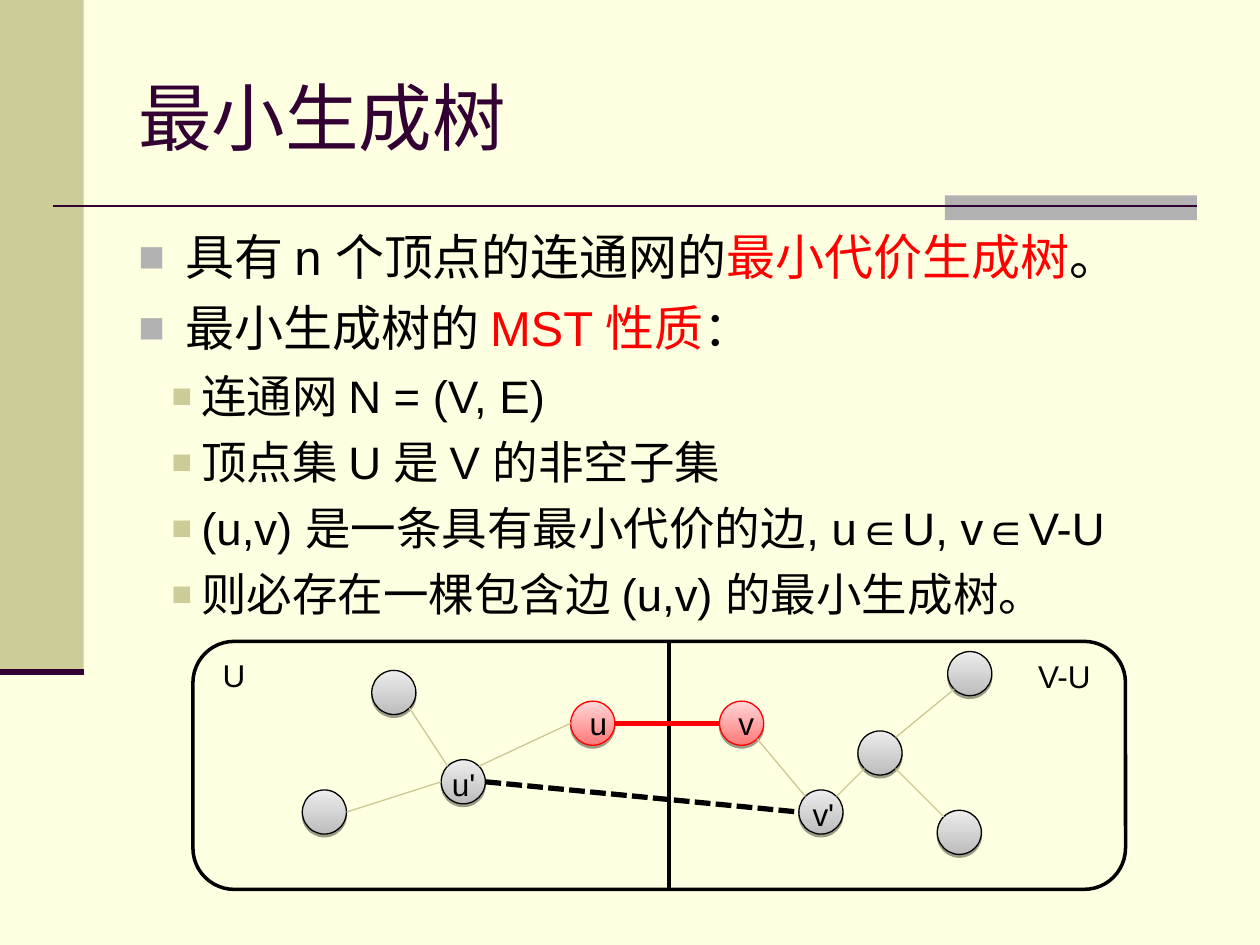
from math import cos, radians, sin

from lxml.etree import SubElement
from pptx import Presentation
from pptx.dml.color import RGBColor
from pptx.enum.dml import MSO_LINE
from pptx.enum.shapes import MSO_CONNECTOR, MSO_SHAPE
from pptx.enum.text import MSO_ANCHOR, MSO_AUTO_SIZE, PP_ALIGN
from pptx.oxml.ns import qn
from pptx.util import Cm, Pt

FONT = "Arial"
COLORS = {
    "cream": "FFFFE1", "olive": "CCCC99", "edge": "C9C994", "gray": "B2B2B2",
    "plum": "330033", "black": "000000", "red": "FF0000",
    "gray dark": "BCBCBC", "gray light": "EDEDED",
    "red dark": "FF7878", "red light": "FFD7D7",
}

TITLE = "最小生成树"
# Each paragraph: level, then runs of (text, colour)
BODY = [
    (0, [("具有 n 个顶点的连通网的", "black"), ("最小代价生成树", "red"), ("。", "black")]),
    (0, [("最小生成树的 ", "black"), ("MST 性质", "red"), ("：", "black")]),
    (1, [("连通网 N = (V, E)", "black")]),
    (1, [("顶点集 U 是 V 的非空子集", "black")]),
    (1, [("(u,v) 是一条具有最小代价的边, u∈U, v∈V-U", "black")]),
    (1, [("则必存在一棵包含边 (u,v) 的最小生成树。", "black")]),
]
# Per level: size, space before, left margin, first-line indent, bullet colour and percent
LEVELS = [
    (28, 7, 0.95, -0.95, "gray", 90),
    (26, 6.5, 1.27, -0.6, "olive", 75),
]

NODE_SIZE = 0.89
# Node centres in cm
NODES = {
    "u": (11.95, 14.58), "v": (14.95, 14.58),
    "u'": (9.34, 15.76), "v'": (16.55, 16.37),
    "upper left": (7.94, 13.96), "lower left": (6.54, 16.37),
    "hub": (17.74, 15.18), "upper right": (19.55, 13.58), "lower right": (19.34, 16.78),
}
MIN_EDGE_NODES = ("u", "v")
COMPASS = {"E": 0, "SE": 45, "SW": 135, "W": 180, "NW": 225, "NE": 315}
# Node and side at each end, colour, width, dash
EDGES = [
    ("u", "E", "v", "W", "red", 3, None),
    ("u", "W", "u'", "NE", "edge", 0.75, None),
    ("u'", "NW", "upper left", "SE", "edge", 0.75, None),
    ("u'", "W", "lower left", "E", "edge", 0.75, None),
    ("v", "SE", "v'", "NW", "edge", 0.75, None),
    ("hub", "NE", "upper right", "SW", "edge", 0.75, None),
    ("hub", "SE", "lower right", "NW", "edge", 0.75, None),
    ("v'", "NE", "hub", "SW", "edge", 0.75, None),
    ("u'", "E", "v'", "W", "black", 3, MSO_LINE.SQUARE_DOT),
]
# Text, left, top, width
LABELS = [
    ("U", 4.24, 13.11, 1.03), ("V-U", 20.68, 13.13, 1.65),
    ("u'", 8.86, 15.29, 1.03), ("v'", 16.13, 15.9, 1.03),
]
FRAME = (3.89, 12.93, 18.8, 5)
DIVIDER_X = 13.49


def color(name):
    return RGBColor.from_string(COLORS[name])


def style_run(run, size, color_name):
    run.font.name = FONT
    run.font.size = Pt(size)
    run.font.color.rgb = color(color_name)


def add_box(slide, preset, box, fill=None, line=None, width=0.75):
    shape = slide.shapes.add_shape(preset, *map(Cm, box))
    shape.shadow.inherit = False
    if fill:
        shape.fill.solid()
        shape.fill.fore_color.rgb = color(fill)
    if line:
        shape.line.color.rgb = color(line)
        shape.line.width = Pt(width)
    else:
        shape.line.fill.background()
    return shape


def add_line(slide, start, end, line, width, dash=None):
    connector = slide.shapes.add_connector(MSO_CONNECTOR.STRAIGHT, *map(Cm, (*start, *end)))
    connector.line.color.rgb = color(line)
    connector.line.width = Pt(width)
    if dash:
        connector.line.dash_style = dash
    SubElement(connector._element.spPr, qn("a:effectLst"))


def add_text(slide, box, text, size, color_name, wrap=True):
    frame = slide.shapes.add_textbox(*map(Cm, box)).text_frame
    frame.text = text
    frame.word_wrap = wrap
    style_run(frame.paragraphs[0].runs[0], size, color_name)
    return frame


def add_bullet(paragraph, left, indent, color_name, percent):
    properties = paragraph._p.get_or_add_pPr()
    properties.set("marL", str(Cm(left)))
    properties.set("indent", str(Cm(indent)))
    bullet_color = SubElement(properties, qn("a:buClr"))
    SubElement(bullet_color, qn("a:srgbClr"), val=COLORS[color_name])
    SubElement(properties, qn("a:buSzPct"), val=str(percent * 1000))
    SubElement(properties, qn("a:buFont"), typeface=FONT)
    SubElement(properties, qn("a:buChar"), char="■")


def add_body(slide):
    frame = slide.shapes.add_textbox(Cm(2.54), Cm(4.45), Cm(21.59), Cm(12.57)).text_frame
    frame.word_wrap = True
    for index, (level, runs) in enumerate(BODY):
        paragraph = frame.add_paragraph() if index else frame.paragraphs[0]
        size, space, *bullet = LEVELS[level]
        paragraph.level = level
        paragraph.space_before = Pt(space)
        add_bullet(paragraph, *bullet)
        for text, color_name in runs:
            run = paragraph.add_run()
            run.text = text
            style_run(run, size, color_name)


def add_node(slide, name):
    x, y = NODES[name]
    red = name in MIN_EDGE_NODES
    box = (x - NODE_SIZE / 2, y - NODE_SIZE / 2, NODE_SIZE, NODE_SIZE)
    shape = add_box(slide, MSO_SHAPE.OVAL, box, line="red" if red else "black")
    shape.fill.gradient()
    shape.fill.gradient_angle = 90
    for stop, shade in zip(shape.fill.gradient_stops, ("dark", "light")):
        stop.color.rgb = color(f"{'red' if red else 'gray'} {shade}")
    effects = shape._element.spPr.find(qn("a:effectLst"))
    shadow = SubElement(effects, qn("a:outerShdw"), blurRad="0", dist=str(Pt(1.6)),
                        dir="5400000", rotWithShape="0")
    shadow_color = SubElement(shadow, qn("a:srgbClr"), val=COLORS["black"])
    SubElement(shadow_color, qn("a:alpha"), val="38000")
    if red:
        shape.text_frame.text = name
        paragraph = shape.text_frame.paragraphs[0]
        paragraph.alignment = PP_ALIGN.CENTER
        style_run(paragraph.runs[0], 18, "black")


def rim_point(name, side):
    x, y = NODES[name]
    angle = radians(COMPASS[side])
    return x + NODE_SIZE / 2 * cos(angle), y + NODE_SIZE / 2 * sin(angle)


def add_graph(slide):
    left, top, width, height = FRAME
    add_box(slide, MSO_SHAPE.ROUNDED_RECTANGLE, FRAME, "cream", "black", 2)
    add_line(slide, (DIVIDER_X, top), (DIVIDER_X, top + height), "black", 2)
    for name in NODES:
        add_node(slide, name)
    for first, first_side, second, second_side, *style in EDGES:
        add_line(slide, rim_point(first, first_side), rim_point(second, second_side), *style)
    for text, x, y, label_width in LABELS:
        frame = add_text(slide, (x, y, label_width, 1.02), text, 18, "black", wrap=False)
        frame.auto_size = MSO_AUTO_SIZE.SHAPE_TO_FIT_TEXT


def main():
    presentation = Presentation()
    presentation.slide_width, presentation.slide_height = Cm(25.4), Cm(19.05)
    slide = presentation.slides.add_slide(presentation.slide_layouts[6])
    slide.background.fill.solid()
    slide.background.fill.fore_color.rgb = color("cream")

    add_box(slide, MSO_SHAPE.RECTANGLE, (0, 0, 1.69, 13.55), "olive")
    add_box(slide, MSO_SHAPE.RECTANGLE, (19.05, 3.94, 5.08, 0.5), "gray")
    add_line(slide, (1.06, 4.15), (24.13, 4.15), "plum", 1.5)
    add_line(slide, (0, 13.55), (1.69, 13.55), "plum", 3.5)

    title = add_text(slide, (2.54, 0.76, 21.59, 3.18), TITLE, 42, "plum")
    title.vertical_anchor = MSO_ANCHOR.MIDDLE
    add_body(slide)
    add_graph(slide)
    presentation.save("out.pptx")


if __name__ == "__main__":
    main()
